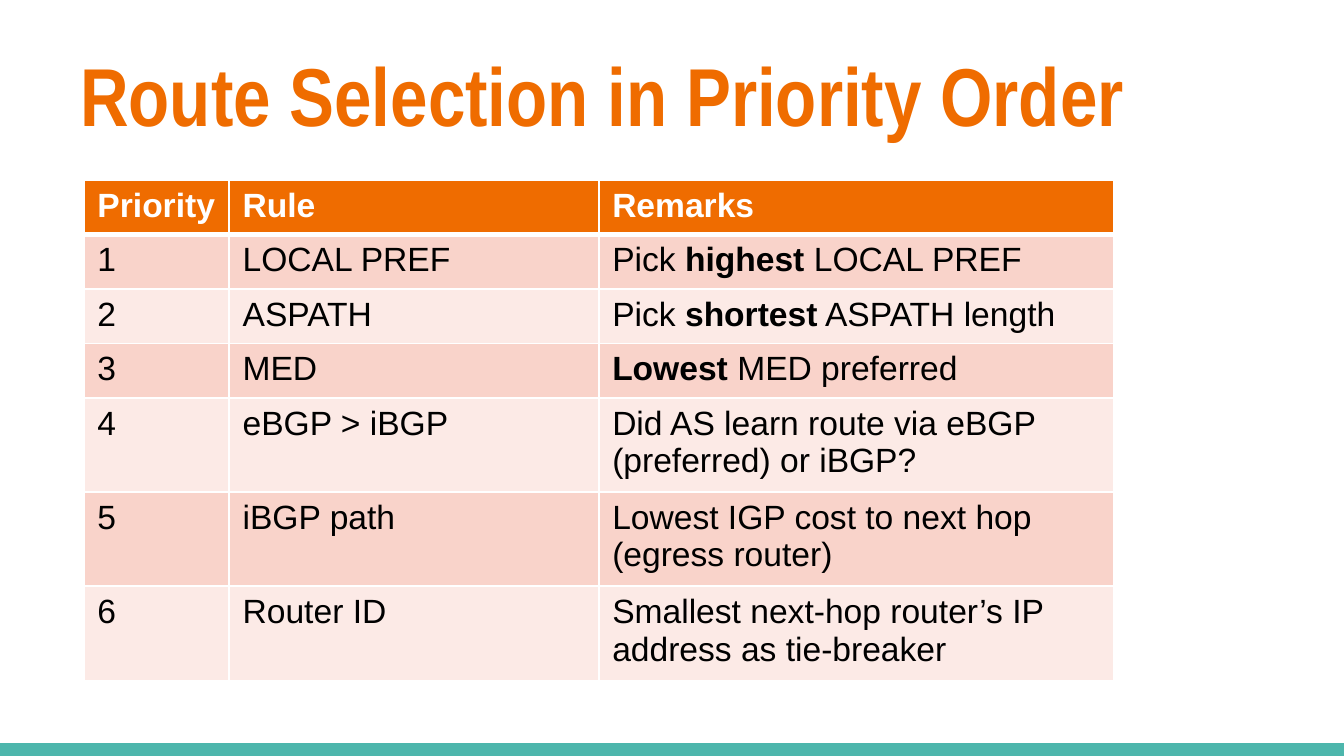
from lxml.etree import SubElement
from pptx import Presentation
from pptx.dml.color import RGBColor
from pptx.enum.shapes import MSO_CONNECTOR as Connector
from pptx.enum.text import MSO_ANCHOR as Anchor
from pptx.oxml.ns import qn
from pptx.util import Pt

COLORS = {
    "orange": "EF6C00", "teal": "4DB6AC", "white": "FFFFFF",
    "black": "000000", "dark_band": "F9D3CA", "light_band": "FCEAE6",
}
TITLE = "Route Selection in Priority Order"
HEADER = ("Priority", "Rule", "Remarks")
# Each rule: name, then remark as (text, bold) spans
RULES = [
    ("LOCAL PREF", [("Pick ", False), ("highest", True), (" LOCAL PREF", False)]),
    ("ASPATH", [("Pick ", False), ("shortest", True), (" ASPATH length", False)]),
    ("MED", [("Lowest", True), (" MED preferred", False)]),
    ("eBGP > iBGP", [("Did AS learn route via eBGP (preferred) or iBGP?", False)]),
    ("iBGP path", [("Lowest IGP cost to next hop (egress router)", False)]),
    ("Router ID", [("Smallest next-hop router’s IP address as tie-breaker", False)]),
]
WIDTH, HEIGHT = 720, 405
COLUMN_WIDTHS = (77.8, 198, 275.8)
HEADER_HEIGHT, ROW_HEIGHT = 26.2, 29.2


def color(name):
    return RGBColor.from_string(COLORS[name])


def add_span(para, text, size, font, color_name, bold):
    span = para.add_run()
    span.text = text
    span.font.size = Pt(size)
    span.font.name = font
    span.font.bold = bold
    span.font.color.rgb = color(color_name)


def set_borders(cell, top, bottom):
    props = cell._tc.get_or_add_tcPr()
    for side, width in (("L", 1), ("R", 1), ("T", top), ("B", bottom)):
        line = SubElement(props, qn(f"a:ln{side}"), w=str(Pt(width)))
        fill = SubElement(line, qn("a:solidFill"))
        SubElement(fill, qn("a:srgbClr"), val=COLORS["white"])


deck = Presentation()
deck.slide_width, deck.slide_height = Pt(WIDTH), Pt(HEIGHT)
page = deck.slides.add_slide(deck.slide_layouts[6])

# Bottom rule
rule = page.shapes.add_connector(
    Connector.STRAIGHT, Pt(0), Pt(403), Pt(WIDTH), Pt(403))
rule.line.color.rgb = color("teal")
rule.line.width = Pt(10)
SubElement(rule._element.spPr, qn("a:effectLst"))

# Title
box = page.shapes.add_textbox(Pt(36), Pt(16.5), Pt(648), Pt(67.5))
box.text_frame.word_wrap = True
box.text_frame.vertical_anchor = Anchor.MIDDLE
add_span(box.text_frame.paragraphs[0], TITLE, 44, "Arial Narrow", "orange", True)

# Table of rules
rows = [[[(text, True)] for text in HEADER]]
for number, (name, remark) in enumerate(RULES, 1):
    rows.append([[(str(number), False)], [(name, False)], remark])

table = page.shapes.add_table(
    len(rows), len(HEADER), Pt(45), Pt(96.8), Pt(sum(COLUMN_WIDTHS)),
    Pt(HEADER_HEIGHT + ROW_HEIGHT * len(RULES))).table
for column, width in zip(table.columns, COLUMN_WIDTHS):
    column.width = Pt(width)

for r, row in enumerate(rows):
    is_header = r == 0
    table.rows[r].height = Pt(HEADER_HEIGHT if is_header else ROW_HEIGHT)
    band = "orange" if is_header else ("dark_band" if r % 2 else "light_band")
    for c, spans in enumerate(row):
        cell = table.cell(r, c)
        set_borders(cell, top=3 if r == 1 else 1, bottom=3 if is_header else 1)
        cell.fill.solid()
        cell.fill.fore_color.rgb = color(band)
        para = cell.text_frame.paragraphs[0]
        for text, bold in spans:
            add_span(para, text, 18, "Arial", "white" if is_header else "black", bold)

deck.save("out.pptx")
